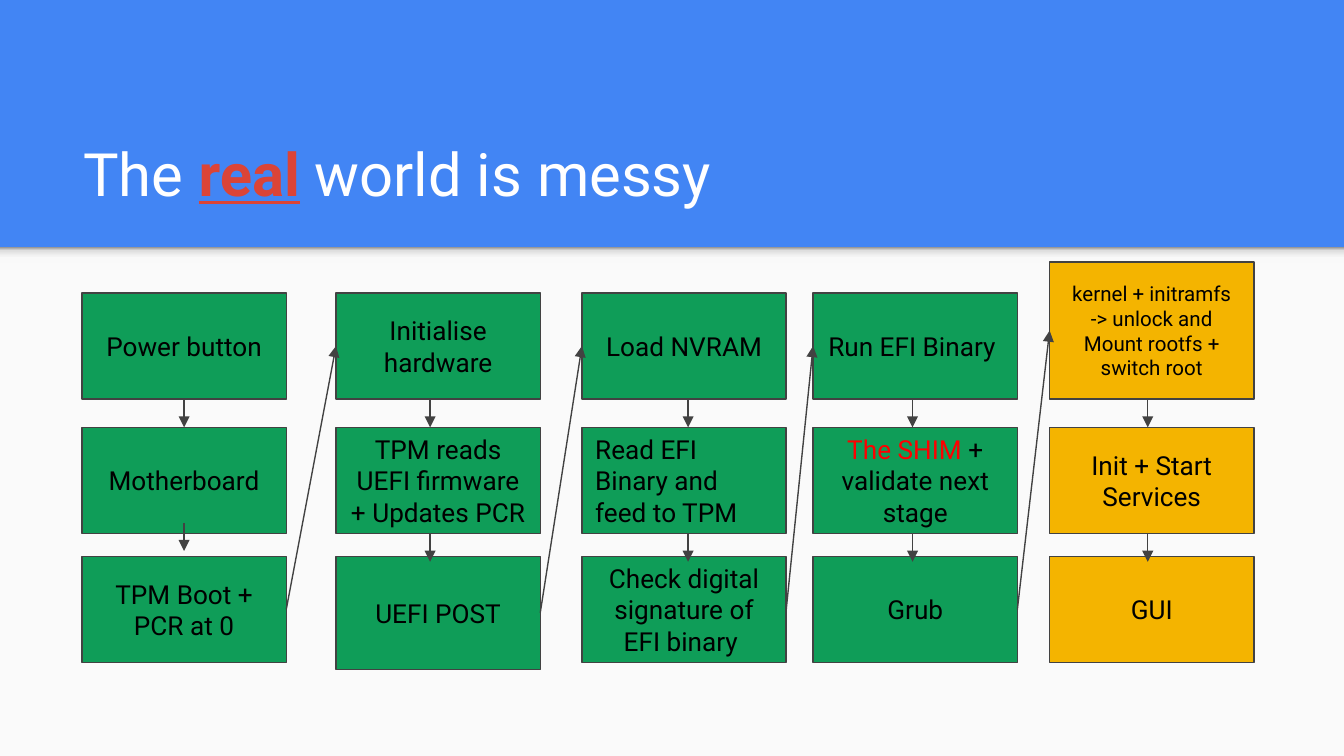
from dataclasses import dataclass
from itertools import pairwise
from lxml.etree import SubElement
from pptx import Presentation
from pptx.dml.color import RGBColor
from pptx.enum.shapes import MSO_CONNECTOR, MSO_SHAPE
from pptx.enum.text import MSO_ANCHOR, MSO_AUTO_SIZE, PP_ALIGN
from pptx.oxml.ns import qn
from pptx.util import Inches, Pt


@dataclass(frozen=True)
class Theme:
    font: str = "Roboto"
    blue: str = "4285F4"
    paper: str = "FAFAFA"
    white: str = "FFFFFF"
    black: str = "000000"
    line: str = "424242"
    green: str = "0F9D58"
    gold: str = "F4B400"
    accent: str = "DB4437"
    red: str = "FF0000"
    shade: tuple = ((0, "F9F9F9"), (36, "F9F9F9"), (80, "DEDEDE"), (100, "999999"))
    title: int = 32
    body: int = 14
    small: int = 11
    stroke: float = 0.75


T = Theme()
WIDE, HIGH = 1.52, 0.79
ROWS = (0.23, 1.23, 2.19)
DROP = 0.21
STEPS = (
    dict(left=0, stem=0.76, color=T.green, starts=(1.02, 1.94),
         cells=("Power button", "Motherboard", "TPM Boot + PCR at 0")),
    dict(left=1.89, stem=0.7, color=T.green, last=0.84,
         cells=("Initialise hardware", "TPM reads UEFI firmware + Updates PCR", "UEFI POST")),
    dict(left=3.72, stem=0.79, color=T.green, aligns={1: PP_ALIGN.LEFT},
         cells=("Load NVRAM", "Read EFI Binary and feed to TPM",
                "Check digital signature of EFI binary ")),
    dict(left=5.44, stem=0.74, color=T.green,
         cells=("Run EFI Binary ",
                [[("The SHIM", {"color": T.red}), (" + validate next stage", {})]], "Grub")),
    dict(left=7.2, stem=0.73, color=T.gold, top=0, sizes={0: T.small},
         cells=([[("kernel + initramfs -> unlock and", {})],
                 [("Mount rootfs + switch root", {})]],
                "Init + Start Services", "GUI")),
)


def write(shape, text, size=T.body, color=T.black, align=PP_ALIGN.CENTER,
          anchor=MSO_ANCHOR.MIDDLE):
    frame = shape.text_frame
    frame.word_wrap = True
    frame.auto_size = MSO_AUTO_SIZE.NONE
    frame.vertical_anchor = anchor
    frame.margin_left = frame.margin_right = Inches(0.1)
    frame.margin_top = frame.margin_bottom = Inches(0.1)
    lines = [[(text, {})]] if isinstance(text, str) else text
    for index, line in enumerate(lines):
        para = frame.add_paragraph() if index else frame.paragraphs[0]
        para.alignment = align
        para.space_before = Pt(0)
        for words, style in line:
            run = para.add_run()
            run.text = words
            font = run.font
            font.name, font.size = T.font, Pt(size)
            font.color.rgb = RGBColor.from_string(style.get("color", color))
            font.bold = font.underline = style.get("strong", False)


def block(slide, left, top, wide, high, color, edge=False):
    shape = slide.shapes.add_shape(
        MSO_SHAPE.RECTANGLE, *map(Inches, (left, top, wide, high)))
    shape.shadow.inherit = False
    shape.fill.solid()
    shape.fill.fore_color.rgb = RGBColor.from_string(color)
    if edge:
        shape.line.color.rgb = RGBColor.from_string(T.line)
        shape.line.width = Pt(T.stroke)
    else:
        shape.line.fill.background()
    return shape


def arrow(slide, start, end):
    link = slide.shapes.add_connector(
        MSO_CONNECTOR.STRAIGHT, *map(Inches, (*start, *end)))
    link.line.color.rgb = RGBColor.from_string(T.line)
    link.line.width = Pt(T.stroke)
    SubElement(link.line._get_or_add_ln(), qn("a:tailEnd"), type="triangle")
    SubElement(link._element.spPr, qn("a:effectLst"))


def header(slide, left, top, wide, high):
    title = slide.shapes.title
    title.left, title.top = Inches(left + 0.52), Inches(top + 0.81)
    title.width, title.height = Inches(wide - 1.01), Inches(high - 1)
    write(title, [[("The ", {}), ("real", {"color": T.accent, "strong": True}),
                   (" world is messy", {})]],
          size=T.title, color=T.white, align=PP_ALIGN.LEFT, anchor=MSO_ANCHOR.BOTTOM)


def panel(slide, left, top, wide, high):
    block(slide, left, top, wide, high, T.paper)
    shade = block(slide, left, top, wide, 0.12, T.paper)
    shade.fill.gradient()
    shade.fill.gradient_angle = 90
    stops = shade._element.spPr.find(".//" + qn("a:gsLst"))
    for stop in list(stops):
        stops.remove(stop)
    for place, color in T.shade:
        stop = SubElement(stops, qn("a:gs"), pos=str(place * 1000))
        SubElement(stop, qn("a:srgbClr"), val=color)


def column(slide, left, top, stem, color, cells, first=ROWS[0], last=HIGH,
           starts=(1.02, 2.02), sizes={}, aligns={}):
    tops = (first, *ROWS[1:])
    highs = (ROWS[0] + HIGH - first, HIGH, last)
    for index, (text, y, high) in enumerate(zip(cells, tops, highs)):
        shape = block(slide, left, top + y, WIDE, high, color, edge=True)
        write(shape, text, size=sizes.get(index, T.body),
              align=aligns.get(index, PP_ALIGN.CENTER))
    for y in starts:
        arrow(slide, (left + stem, top + y), (left + stem, top + y + DROP))
    entry = left, top + first + highs[0] / 2
    leave = left + WIDE, top + ROWS[2] + last / 2
    return entry, leave


def flow(slide, left, top):
    ends = []
    for step in STEPS:
        rest = {key: step[key] for key in step if key not in ("left", "top")}
        ends.append(column(slide, left + step["left"], top,
                           first=step.get("top", ROWS[0]), **rest))
    for (_, leave), (entry, _) in pairwise(ends):
        arrow(slide, leave, entry)


def main():
    deck = Presentation()
    deck.slide_width = Inches(10)
    deck.slide_height = Inches(10 * 9 / 16)
    slide = deck.slides.add_slide(deck.slide_layouts[5])
    back = slide.background.fill
    back.solid()
    back.fore_color.rgb = RGBColor.from_string(T.blue)
    header(slide, 0, 0, 10, 1.84)
    panel(slide, 0, 1.84, 10, deck.slide_height.inches - 1.84)
    flow(slide, 0.61, 1.95)
    deck.save("out.pptx")


if __name__ == "__main__":
    main()
